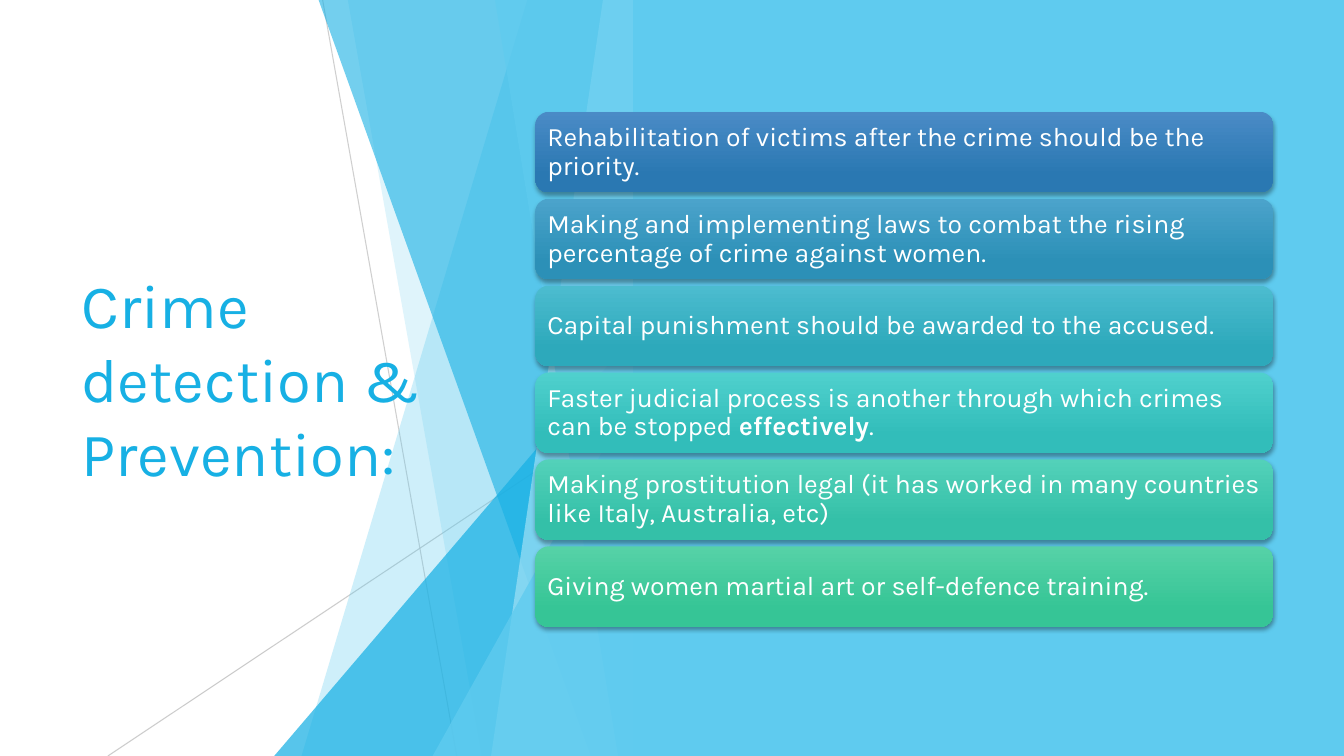
from lxml import etree
from pptx import Presentation
from pptx.dml.color import RGBColor
from pptx.enum.shapes import MSO_CONNECTOR, MSO_SHAPE
from pptx.enum.text import MSO_ANCHOR, PP_ALIGN
from pptx.oxml.ns import qn
from pptx.util import Inches, Pt

STRAIGHT = MSO_CONNECTOR.STRAIGHT
TRIANGLE, RECTANGLE = MSO_SHAPE.ISOSCELES_TRIANGLE, MSO_SHAPE.RECTANGLE
ROUNDED = MSO_SHAPE.ROUNDED_RECTANGLE
MIDDLE, LEFT = MSO_ANCHOR.MIDDLE, PP_ALIGN.LEFT

FONT = "Karla"
COLORS = {"white": "FFFFFF", "black": "000000", "gray": "BFBFBF",
          "sky": "5FCBEF", "blue": "17B0E4", "pale": "9FE0F5"}
RAYS = [((2.13, 0), (3.46, 7.5), 75), ((5.21, 4.03), (0, 7.5), 80)]
SHARDS = [
    ("slant", 4.16, 1.92, "sky", 30),
    ("slant", 2.38, 3.71, "sky", 20),
    ("triangle", 1.65, 3.33, "blue", 72),
    ("slant", 2.09, 4.79, "blue", 60),
    ("slant", 4.91, 3.80, "pale", 70),
    ("slant", 3.84, 5.06, "sky", 65),
    ("triangle", 3.22, 3.93, "sky", 80),
]
MEASURES = [
    ("4A8BC6", "2A78B2", ["Rehabilitation of victims after the crime should be the priority."]),
    ("4BA3CB", "2C90B7", ["Making and implementing laws to combat the rising percentage of crime against women."]),
    ("4CBCCF", "2DA9BB", ["Capital punishment should be awarded to the accused."]),
    ("4FD0CD", "32BDBA", ["Faster judicial process is another through which crimes can be stopped ",
                          "effectively", "."]),
    ("53D1B9", "34C0A8", ["Making prostitution legal (it has worked in many countries like Italy, Australia, etc)"]),
    ("56D2A7", "36C596", ["Giving women martial art or self-defence training."]),
]


def color(name):
    """Return the named colour."""
    return RGBColor.from_string(COLORS[name])


def set_opacity(shape, percent):
    """Make every plain colour of a shape partly transparent."""
    for node in shape.element.spPr.iter(qn("a:srgbClr")):
        etree.SubElement(node, qn("a:alpha"), val=str(percent * 1000))


def fill_plain(shape, name):
    """Give a shape a solid fill without outline or shadow."""
    shape.shadow.inherit = False
    shape.fill.solid()
    shape.fill.fore_color.rgb = color(name)
    shape.line.fill.background()


def style_span(span, size, name):
    """Set the font of one run."""
    span.font.name = FONT
    span.font.size = Pt(size)
    span.font.color.rgb = color(name)


def add_ray(slide, start, end, opacity):
    """Draw one thin grey line."""
    points = [Inches(value) for value in (*start, *end)]
    ray = slide.shapes.add_connector(STRAIGHT, *points)
    ray.line.color.rgb = color("gray")
    ray.line.width = Pt(0.75)
    set_opacity(ray, opacity)
    etree.SubElement(ray.element.spPr, qn("a:effectLst"))


def add_shards(slide, left, top, width, height):
    """Draw the rays and overlapping translucent facets in a box."""
    right, bottom = left + width, top + height
    for (x1, y1), (x2, y2), opacity in RAYS:
        add_ray(slide, (left + x1, top + y1), (left + x2, top + y2), opacity)
    for kind, first, second, name, opacity in SHARDS:
        x = left + first
        if kind == "triangle":
            shard = slide.shapes.add_shape(
                TRIANGLE, Inches(x), Inches(top + second),
                Inches(right - x), Inches(height - second))
            shard.adjustments[0] = 1
        else:
            corners = [(right, top), (right, bottom), (left + second, bottom)]
            outline = slide.shapes.build_freeform(Inches(x), Inches(top))
            outline.add_line_segments([(Inches(a), Inches(b)) for a, b in corners])
            shard = outline.convert_to_shape()
        fill_plain(shard, name)
        set_opacity(shard, opacity)


def add_title(slide, left, top, width, height):
    """Write the slide title, centred vertically in its box."""
    box = slide.shapes.add_textbox(Inches(left), Inches(top), Inches(width), Inches(height))
    frame = box.text_frame
    frame.word_wrap = True
    frame.vertical_anchor = MIDDLE
    frame.text = "Crime detection & Prevention:"
    style_span(frame.paragraphs[0].runs[0], 44, "blue")


def add_panel(slide, left, top, width, height):
    """Draw the plain panel behind the list."""
    panel = slide.shapes.add_shape(
        RECTANGLE, Inches(left), Inches(top), Inches(width), Inches(height))
    fill_plain(panel, "sky")


def add_soft_shadow(shape):
    """Put a soft shadow below a shape."""
    shape.shadow.inherit = False
    effects = shape.element.spPr.find(qn("a:effectLst"))
    shadow = etree.SubElement(
        effects, qn("a:outerShdw"), blurRad=str(Pt(3)), dist=str(Pt(2)),
        dir="5400000", algn="ctr", rotWithShape="0")
    shade = etree.SubElement(shadow, qn("a:srgbClr"), val=COLORS["black"])
    etree.SubElement(shade, qn("a:alpha"), val="35000")


def add_bar(slide, left, top, width, height, shades, texts):
    """Draw one gradient bar; its second run, if any, is bold."""
    bar = slide.shapes.add_shape(
        ROUNDED, Inches(left), Inches(top), Inches(width), Inches(height))
    bar.line.fill.background()
    bar.fill.gradient()
    bar.fill.gradient_angle = 270
    for stop, position, shade in zip(bar.fill.gradient_stops, (0, 0.78), shades):
        stop.position = position
        stop.color.rgb = RGBColor.from_string(shade)
    add_soft_shadow(bar)
    frame = bar.text_frame
    frame.word_wrap = True
    frame.vertical_anchor = MIDDLE
    frame.margin_left = frame.margin_right = Inches(0.08)
    frame.margin_top = frame.margin_bottom = Inches(0.08)
    para = frame.paragraphs[0]
    para.alignment = LEFT
    para.line_spacing = 0.9
    for index, text in enumerate(texts):
        span = para.add_run()
        span.text = text
        style_span(span, 19, "white")
        span.font.bold = index == 1


def add_measures(slide, left, top, width, height):
    """Stack the measures as evenly spaced bars in a box."""
    bar_height = 0.8
    pitch = (height - bar_height) / (len(MEASURES) - 1)
    for index, (light, dark, texts) in enumerate(MEASURES):
        add_bar(slide, left, top + index * pitch, width, bar_height, (light, dark), texts)


def main():
    """Build and save the deck."""
    deck = Presentation()
    deck.slide_width, deck.slide_height = Inches(13.33), Inches(7.5)
    slide = deck.slides.add_slide(deck.slide_layouts[6])
    add_shards(slide, 1.07, 0, 5.21, 7.5)
    add_title(slide, 0.71, 1.51, 3.88, 4.48)
    add_panel(slide, 6.28, 0, 7.05, 7.5)
    add_measures(slide, 5.31, 1.11, 7.32, 5.11)
    deck.save("out.pptx")


if __name__ == "__main__":
    main()
